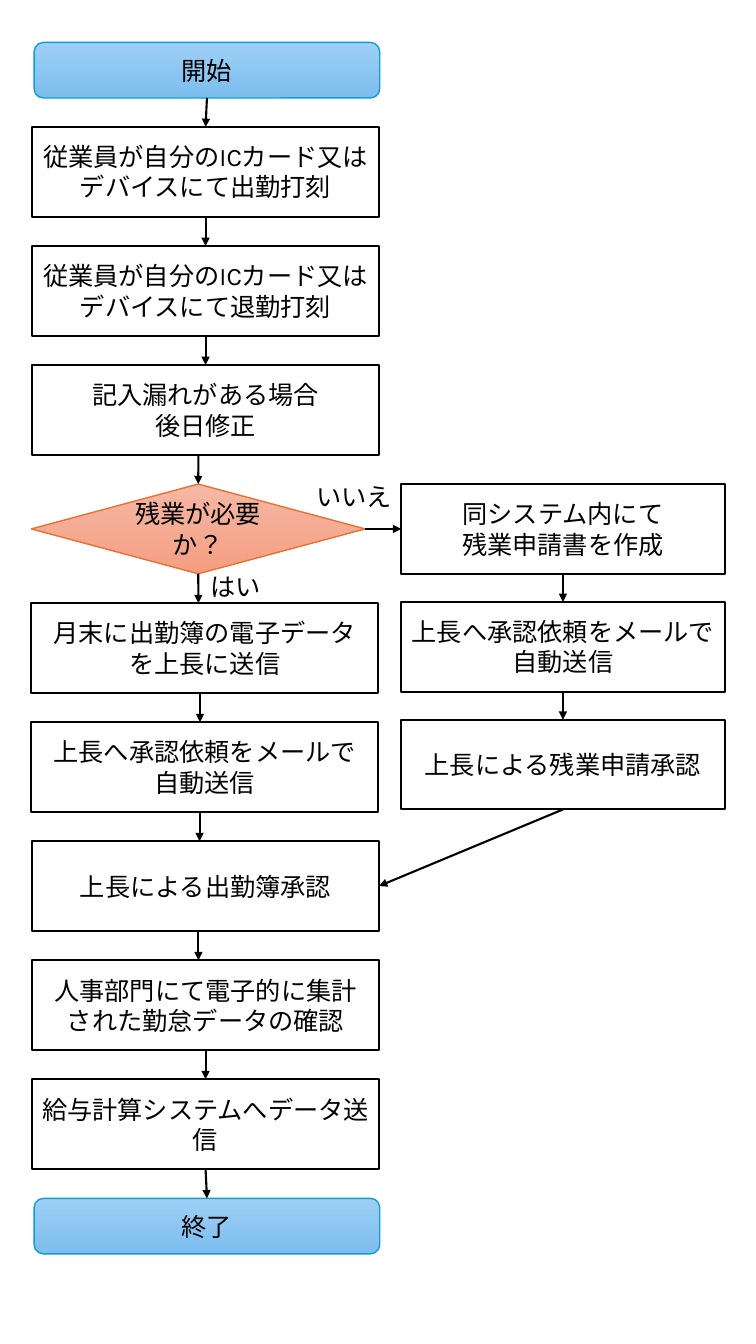
from dataclasses import dataclass
from typing import Optional

from lxml.etree import SubElement
from pptx import Presentation
from pptx.dml.color import RGBColor as Rgb
from pptx.enum.lang import MSO_LANGUAGE_ID as Lang
from pptx.enum.shapes import MSO_CONNECTOR as Wire, MSO_SHAPE as Form
from pptx.enum.text import MSO_ANCHOR as Anchor, MSO_AUTO_SIZE as Fit, PP_ALIGN as Align
from pptx.oxml.ns import qn
from pptx.util import Cm, Pt

TOP, LEFT, BOTTOM, RIGHT = range(4)
NEAR = 0.02  # cm within which an arrow end counts as centred


@dataclass(frozen=True)
class Theme:
    font: str = "Karla"
    size: float = 18
    ink: str = "000000"
    paper: str = "FFFFFF"
    blue: tuple[str, str] = ("9ECFF5", "7CBEED")
    blue_rim: str = "0F9ED5"
    coral: tuple[str, str] = ("F5B8A5", "F59E82")
    coral_rim: str = "E97132"
    thin: float = 1
    thick: float = 1.5


THEME = Theme()


@dataclass(frozen=True)
class Style:
    form: Form
    fill: tuple[str, ...]
    rim: str
    width: float


STEP = Style(Form.RECTANGLE, (THEME.paper,), THEME.ink, THEME.thick)
ENDS = Style(Form.ROUNDED_RECTANGLE, THEME.blue, THEME.blue_rim, THEME.thin)
CHOICE = Style(Form.FLOWCHART_DECISION, THEME.coral, THEME.coral_rim, THEME.thin)


@dataclass(frozen=True)
class Box:
    text: str
    x: float
    y: float
    w: float
    h: float = 2.26
    style: Style = STEP

    def site(self, side: int) -> tuple[float, float]:
        """Middle of a side, in cm."""
        mid_x, mid_y = self.x + self.w / 2, self.y + self.h / 2
        return ((mid_x, self.y), (self.x, mid_y),
                (mid_x, self.y + self.h), (self.x + self.w, mid_y))[side]


@dataclass(frozen=True)
class Link:
    """An arrow between boxes; x sets a vertical arrow off the centre."""
    src: str
    dst: str
    exit: int = BOTTOM
    entry: int = TOP
    x: Optional[float] = None


@dataclass(frozen=True)
class Label:
    text: str
    x: float
    y: float


def main_y(row: int) -> float:
    return 3.2 + 3 * row


def step(row: int, text: str, x: float = 0.81) -> Box:
    return Box(text, x, main_y(row), 8.74)


def extra(row: int, text: str) -> Box:
    return Box(text, 10.11, main_y(3) + 2.97 * row, 8.15)


BOXES = {
    "start": Box("開始", 0.86, 1.07, 8.71, 1.4, ENDS),
    "clock in": step(0, "従業員が自分のICカード又はデバイスにて出勤打刻"),
    "clock out": step(1, "従業員が自分のICカード又はデバイスにて退勤打刻"),
    "fix": step(2, "記入漏れがある場合\n後日修正"),
    "choice": Box("残業が必要か？", 0.79, main_y(3), 8.41, style=CHOICE),
    "send": step(4, "月末に出勤簿の電子データを上長に送信", 0.79),
    "ask": step(5, "上長へ承認依頼をメールで自動送信", 0.79),
    "approve": step(6, "上長による出勤簿承認"),
    "check": step(7, "人事部門にて電子的に集計された勤怠データの確認"),
    "pay": step(8, "給与計算システムへデータ送信"),
    "end": Box("終了", 0.86, main_y(9), 8.71, 1.4, ENDS),
    "extra form": extra(0, "同システム内にて\n残業申請書を作成"),
    "extra ask": extra(1, "上長へ承認依頼をメールで自動送信"),
    "extra approve": extra(2, "上長による残業申請承認"),
}

LINKS = [
    Link("start", "clock in"),
    Link("clock in", "clock out"),
    Link("clock out", "fix"),
    Link("fix", "choice", x=5),
    Link("choice", "send", x=5),
    Link("send", "ask", x=5.04),
    Link("ask", "approve", x=5.03),
    Link("approve", "check", x=5),
    Link("check", "pay"),
    Link("pay", "end"),
    Link("choice", "extra form", RIGHT, LEFT),
    Link("extra form", "extra ask"),
    Link("extra ask", "extra approve"),
    Link("extra approve", "approve", BOTTOM, RIGHT),
]

LABELS = [Label("はい", 5.05, 14.27), Label("いいえ", 7.72, 12.01)]


def color(code: str) -> Rgb:
    return Rgb.from_string(code)


def write(frame, text: str, align: Align) -> None:
    frame.word_wrap = True
    for i, part in enumerate(text.split("\n")):
        para = frame.add_paragraph() if i else frame.paragraphs[0]
        para.alignment = align
        run = para.add_run()
        run.text = part
        font = run.font
        font.name, font.size = THEME.font, Pt(THEME.size)
        font.language_id = Lang.JAPANESE
        font.color.rgb = color(THEME.ink)


def draw_box(slide, box: Box):
    style = box.style
    shape = slide.shapes.add_shape(
        style.form, Cm(box.x), Cm(box.y), Cm(box.w), Cm(box.h))
    shape.shadow.inherit = False
    if len(style.fill) == 1:
        shape.fill.solid()
        shape.fill.fore_color.rgb = color(style.fill[0])
    else:
        shape.fill.gradient()
        shape.fill.gradient_angle = 270
        for stop, code in zip(shape.fill.gradient_stops, style.fill):
            stop.color.rgb = color(code)
    shape.line.color.rgb = color(style.rim)
    shape.line.width = Pt(style.width)
    shape.text_frame.vertical_anchor = Anchor.MIDDLE
    write(shape.text_frame, box.text, Align.CENTER)
    return shape


def draw_link(slide, link: Link, shapes: dict) -> None:
    """Draw an arrow, joined wherever it meets the middle of a side."""
    (ax, ay), (bx, by) = BOXES[link.src].site(link.exit), BOXES[link.dst].site(link.entry)
    x0, x1 = (ax, bx) if link.x is None else (link.x, link.x)
    wire = slide.shapes.add_connector(Wire.STRAIGHT, Cm(x0), Cm(ay), Cm(x1), Cm(by))
    if abs(x0 - ax) < NEAR:
        wire.begin_connect(shapes[link.src], link.exit)
    if abs(x1 - bx) < NEAR:
        wire.end_connect(shapes[link.dst], link.entry)
    wire.line.color.rgb = color(THEME.ink)
    wire.line.width = Pt(THEME.thick)
    SubElement(wire.line._get_or_add_ln(), qn("a:tailEnd"), type="triangle")
    SubElement(wire._element.spPr, qn("a:effectLst"))


def draw_label(slide, label: Label) -> None:
    frame = slide.shapes.add_textbox(
        Cm(label.x), Cm(label.y), Cm(3.4), Cm(1.02)).text_frame
    write(frame, label.text, Align.LEFT)
    frame.auto_size = Fit.SHAPE_TO_FIT_TEXT


def main() -> None:
    deck = Presentation()
    deck.slide_width, deck.slide_height = Cm(19.05), Cm(33.87)
    slide = deck.slides.add_slide(deck.slide_layouts[6])
    shapes = {name: draw_box(slide, box) for name, box in BOXES.items()}
    for link in LINKS:
        draw_link(slide, link, shapes)
    for label in LABELS:
        draw_label(slide, label)
    deck.save("out.pptx")


if __name__ == "__main__":
    main()
